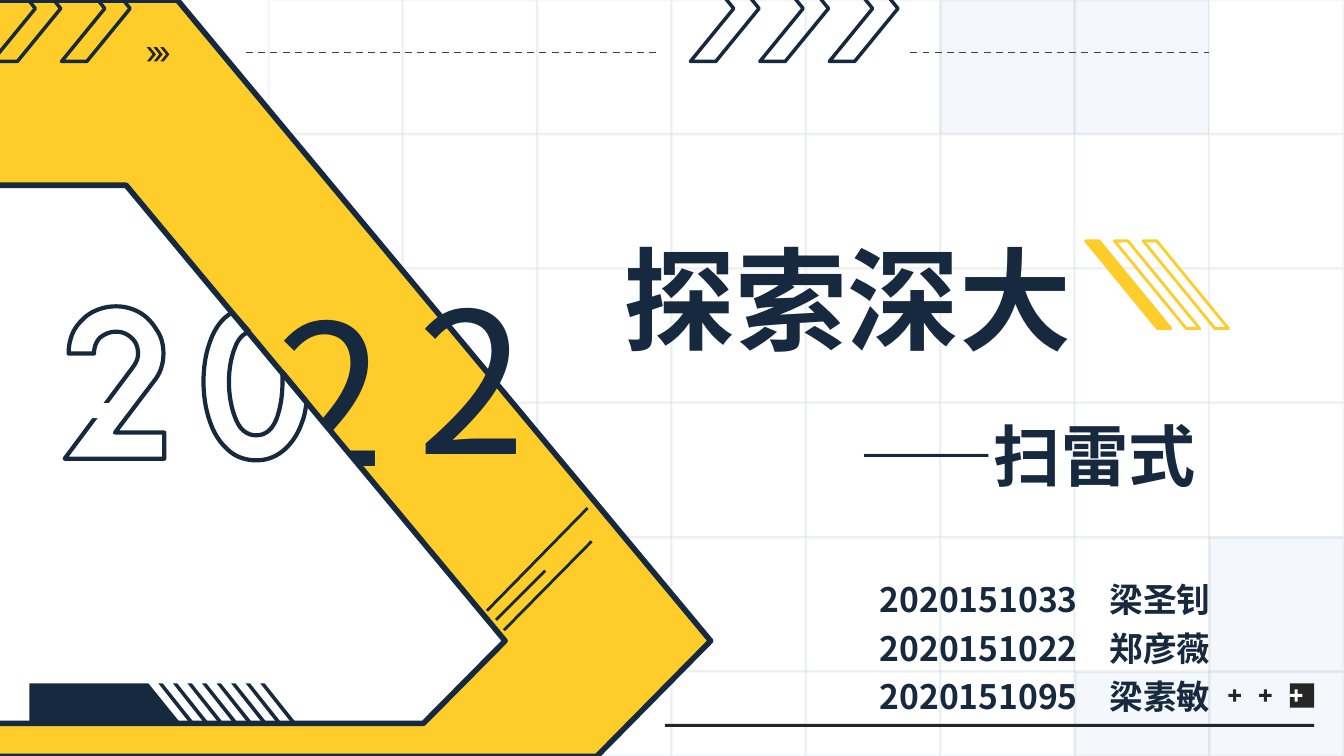
from pptx import Presentation
from pptx.dml.color import RGBColor as RGB
from pptx.enum.dml import MSO_LINE as DASH
from pptx.enum.shapes import MSO_CONNECTOR as CONN, MSO_SHAPE as SHAPE
from pptx.enum.text import MSO_AUTO_SIZE as FIT, PP_ALIGN as ALIGN
from pptx.oxml.ns import qn
from pptx.util import Cm, Pt
from lxml.etree import SubElement

COLORS = {"navy": "16293E", "yellow": "FECD2A", "white": "FFFFFF",
          "pale": "E0E9F4", "black": "262626", "grey": "404040"}
FONT = "Noto Sans CJK SC"
CELL = 3.386
WIDTH, HEIGHT = 33.87, 19.05


def rgb(name):
    return RGB.from_string(COLORS[name])


def set_alpha(fill, percent):
    color = fill._xPr.find(qn("a:solidFill"))[0]
    SubElement(color, qn("a:alpha")).set("val", str(percent * 1000))


def paint(sp, fill=None, line=None, weight=1):
    sp.shadow.inherit = False
    if fill:
        sp.fill.solid()
        sp.fill.fore_color.rgb = rgb(fill)
    else:
        sp.fill.background()
    if line:
        sp.line.color.rgb = rgb(line)
        sp.line.width = Pt(weight)
    else:
        sp.line.fill.background()
    return sp


def add_preset(s, kind, x, y, w, h, adj=None, **look):
    sp = s.shapes.add_shape(kind, Cm(x), Cm(y), Cm(w), Cm(h))
    if adj is not None:
        sp.adjustments[0] = adj
    return paint(sp, **look)


def add_outline(s, contours, **look):
    """Draw closed contours of points in cm."""
    first, *others = contours
    fb = s.shapes.build_freeform(*(round(v * 1000) for v in first[0]), scale=Cm(1) / 1000)
    fb.add_line_segments([(round(x * 1000), round(y * 1000)) for x, y in first[1:]])
    for pts in others:
        fb.move_to(*(round(v * 1000) for v in pts[0]))
        fb.add_line_segments([(round(x * 1000), round(y * 1000)) for x, y in pts[1:]])
    return paint(fb.convert_to_shape(), **look)


def add_rule(s, x1, y1, x2, y2, color, weight, dash=None):
    ln = s.shapes.add_connector(CONN.STRAIGHT, Cm(x1), Cm(y1), Cm(x2), Cm(y2))
    ln.line.color.rgb = rgb(color)
    ln.line.width = Pt(weight)
    if dash:
        ln.line.dash_style = dash
    SubElement(ln._element.spPr, qn("a:effectLst"))


def add_text(s, x, y, w, h, lines, size, bold=True, spacing=None, align=None, tab=None):
    tb = s.shapes.add_textbox(Cm(x), Cm(y), Cm(w), Cm(h))
    tf = tb.text_frame
    tf.word_wrap = True
    tf.auto_size = FIT.SHAPE_TO_FIT_TEXT
    for i, line in enumerate(lines):
        p = tf.add_paragraph() if i else tf.paragraphs[0]
        if spacing:
            p.line_spacing = spacing
        if align:
            p.alignment = align
        if tab:
            tabs = SubElement(p._p.get_or_add_pPr(), qn("a:tabLst"))
            SubElement(tabs, qn("a:tab"), pos=str(Cm(tab)), algn="l")
        r = p.add_run()
        r.text = line
        r.font.size, r.font.bold, r.font.name = Pt(size), bold, FONT
        r.font.color.rgb = rgb("navy")
        SubElement(r._r.get_or_add_rPr(), qn("a:ea")).set("typeface", FONT)


def curve(start, *beziers, steps=8):
    """Points along a chain of cubic curves."""
    pts = [start]
    for b, c, d in beziers:
        a = pts[-1]
        for t in (n / steps for n in range(1, steps + 1)):
            u = 1 - t
            pts.append(tuple(u**3 * a[k] + 3 * u * u * t * b[k] + 3 * u * t * t * c[k]
                             + t**3 * d[k] for k in (0, 1)))
    return pts


def grid(s, x, y, columns=10, rows=6):
    tinted = {(7, 0), (8, 0), (1, 1), (0, 2), (1, 2), (9, 4), (1, 5), (8, 5), (9, 5)}
    for row in range(rows):
        for col in range(columns):
            if (col, row) == (1, 0):
                continue
            tint = (col, row) in tinted
            top = y + row * CELL
            sp = add_preset(s, SHAPE.RECTANGLE, x + col * CELL, top, CELL,
                            min(CELL, HEIGHT - top), fill="pale" if tint else "white",
                            line="navy", weight=2)
            if tint:
                set_alpha(sp.fill, 34)
            set_alpha(sp.line.fill, 3)


def chevrons(s, x, y, w, h, count, step, **look):
    for n in range(count):
        add_preset(s, SHAPE.CHEVRON, x + n * step, y, w, h, adj=0.631, **look)


def top_band(s, x, y):
    for left in (x - 0.2, x + 17.4):
        chevrons(s, left, y - 1.12, 1.73, 2.67, 3 if left > x else 2, 1.75,
                 line="navy", weight=2.5)
    for x1, x2 in ((6.2, 16.66), (22.94, 30.48)):
        add_rule(s, x + x1, y + 1.32, x + x2, y + 1.32, "grey", 1.25, DASH.DASH)
    chevrons(s, x + 3.7, y + 1.19, 0.23, 0.36, 3, 0.17, fill="black")


def corner_marks(s, x, y):
    add_preset(s, SHAPE.RECTANGLE, x + 1.55, y, 0.61, 0.61, fill="black")
    for n, color in enumerate(("black", "black", "white")):
        add_preset(s, SHAPE.CROSS, x + n * 0.775, y + 0.15, 0.31, 0.31, adj=0.382, fill=color)
    add_preset(s, SHAPE.RECTANGLE, x - 14.2, y + 1.02, 16.36, 0.08, fill="black")


def title_stripes(s, x, y):
    for n in range(3):
        left = x + n * 0.725
        add_outline(s, [[(left, y), (left + 0.34, y), (left + 2.15, y + 2.21), (left + 1.81, y + 2.21)]],
                    fill="white" if n else "yellow", line="yellow", weight=2)


def panel_footer(s, x, y, h=1.04):
    add_outline(s, [[(x, y), (x + 3, y), (x + 3.84, y + h), (x, y + h)]], fill="navy")
    for n in range(8):
        left = x + 3.25 + n * 0.367
        add_outline(s, [[(left, y), (left + 0.11, y), (left + 0.94, y + h), (left + 0.82, y + h)]],
                    fill="navy")


def outlined_digits(s, x, y):
    zero = curve((4.52, 0.71), ((4.44, 0.76), (4.37, 0.86), (4.32, 0.97)),
                 ((4.21, 1.22), (4.14, 1.53), (4.14, 1.9)),
                 ((4.14, 2.28), (4.21, 2.6), (4.32, 2.86)),
                 ((4.43, 3.12), (4.6, 3.25), (4.83, 3.25)),
                 ((5.05, 3.25), (5.22, 3.12), (5.33, 2.86)),
                 ((5.43, 2.6), (5.49, 2.28), (5.49, 1.9)))
    zero += [(5.49, 1.65)]
    zero += curve((6.1, 2.39), ((6.07, 2.59), (6.05, 2.75), (5.99, 2.9)),
                  ((5.89, 3.2), (5.74, 3.43), (5.54, 3.61)),
                  ((5.33, 3.79), (5.11, 3.88), (4.83, 3.88)),
                  ((4.55, 3.88), (4.3, 3.79), (4.11, 3.61)),
                  ((3.91, 3.43), (3.76, 3.2), (3.66, 2.9)),
                  ((3.55, 2.59), (3.5, 2.26), (3.5, 1.9)),
                  ((3.5, 1.53), (3.55, 1.2), (3.66, 0.9)),
                  ((3.76, 0.61), (3.91, 0.38), (4.11, 0.23)))
    zero += [(4.22, 0.15), (4.65, 0.63)]
    two = curve((1.3, 0), ((1.5, 0), (1.7, 0.05), (1.88, 0.15)),
                ((2.06, 0.25), (2.21, 0.41), (2.31, 0.58)),
                ((2.44, 0.76), (2.49, 0.97), (2.49, 1.19)),
                ((2.49, 1.45), (2.41, 1.7), (2.24, 1.9)))
    two += [(1.27, 3.18), (2.51, 3.18), (2.51, 3.84), (0, 3.84)]
    two += curve((1.73, 1.52), ((1.8, 1.42), (1.85, 1.32), (1.85, 1.19)),
                 ((1.85, 1.04), (1.8, 0.89), (1.68, 0.79)),
                 ((1.57, 0.69), (1.45, 0.64), (1.3, 0.64)),
                 ((1.14, 0.64), (1.02, 0.69), (0.89, 0.79)),
                 ((0.79, 0.89), (0.74, 1.04), (0.74, 1.19)))
    two += curve((0.1, 1.19), ((0.1, 0.97), (0.15, 0.76), (0.25, 0.58)),
                 ((0.36, 0.41), (0.51, 0.25), (0.69, 0.15)),
                 ((0.89, 0.05), (1.07, 0), (1.3, 0)))
    add_outline(s, [[(x + px, y + py) for px, py in digit] for digit in (zero, two)],
                line="navy", weight=3)
    add_preset(s, SHAPE.RECTANGLE, x + 0.51, y + 2.44, 0.76, 0.38, fill="white")


def arrow_frame(s, x, corner, tip, foot, fill):
    """Pointed panel running in from the left edge."""
    add_outline(s, [[(x, corner[1]), corner, tip, foot, (x, foot[1])]],
                fill=fill, line="navy", weight=4)


def cover(prs):
    s = prs.slides.add_slide(prs.slide_layouts[6])
    grid(s, 0, 0)
    # Yellow arrow and the solid digits
    arrow_frame(s, -1.65, (4.47, 0), (17.91, 16.15), (15.04, 19.06), "yellow")
    add_text(s, 10.26, 6.38, 3.81, 6.25, ["2"], 140, bold=False)
    add_text(s, 6.73, 6.68, 3.18, 6.25, ["2"], 140, bold=False)
    # Decorations
    top_band(s, 0, 0)
    corner_marks(s, 30.96, 17.22)
    for x1, y1, x2, y2 in ((14.81, 12.8, 12.27, 15.39), (14.91, 13.64, 12.7, 15.88)):
        add_rule(s, x1, y1, x2, y2, "navy", 2)
    # Titles
    add_text(s, 17.91, 9.91, 12.47, 2.72, ["——扫雷式"], 48, spacing=1.2, align=ALIGN.RIGHT)
    title_stripes(s, 27.36, 6.07)
    add_text(s, 15.47, 5, 13.16, 4.37, ["探索深大"], 80, spacing=1.2)
    # White panel inside the arrow
    arrow_frame(s, -1.65, (3.18, 4.67), (12.73, 16.15), (10.67, 18.23), "white")
    panel_footer(s, 0.74, 17.22)
    add_rule(s, 13.74, 14.38, 12.5, 15.62, "navy", 2)
    outlined_digits(s, 1.63, 7.72)
    # Team
    add_text(s, 21.92, 14.27, 12.47, 3.94,
             ["2020151033\t梁圣钊", "2020151022\t郑彦薇", "2020151095\t梁素敏"],
             24, spacing=1.2, tab=5.79)


def main():
    prs = Presentation()
    prs.slide_width, prs.slide_height = Cm(WIDTH), Cm(HEIGHT)
    cover(prs)
    prs.save("out.pptx")


if __name__ == "__main__":
    main()
